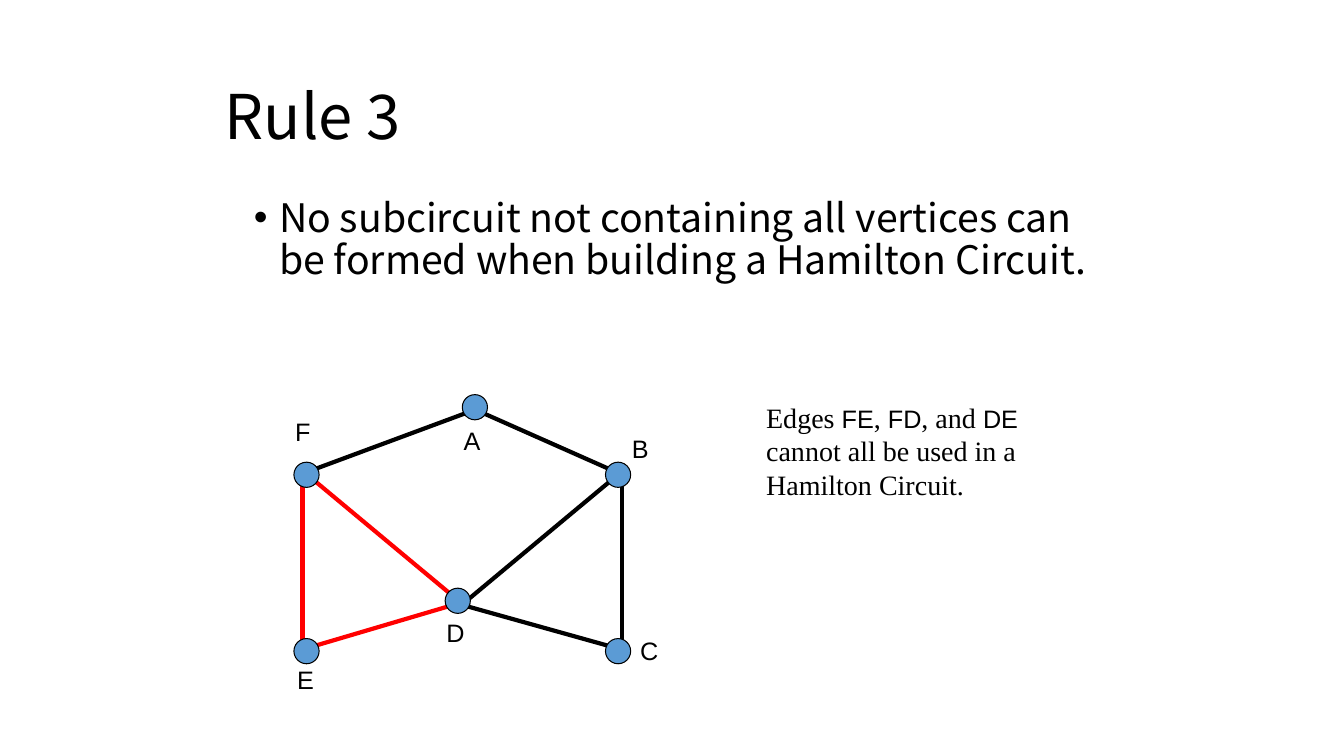
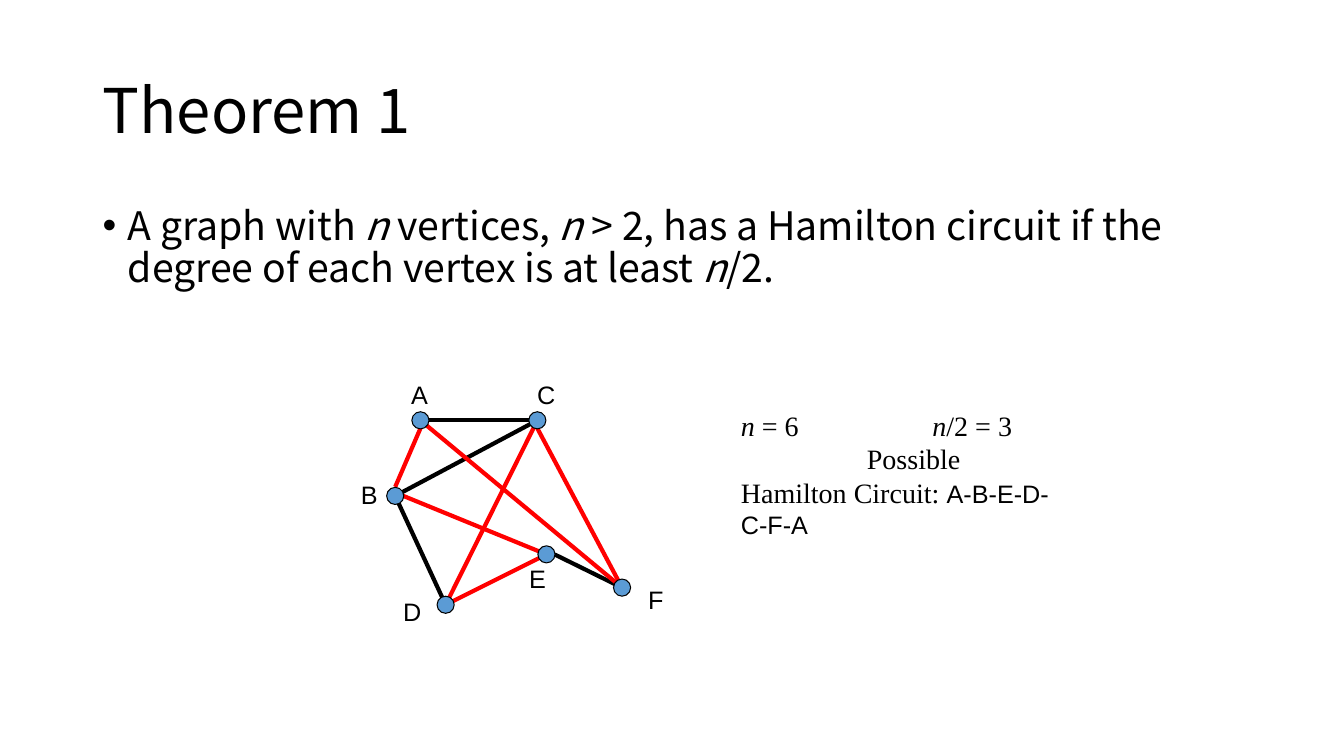
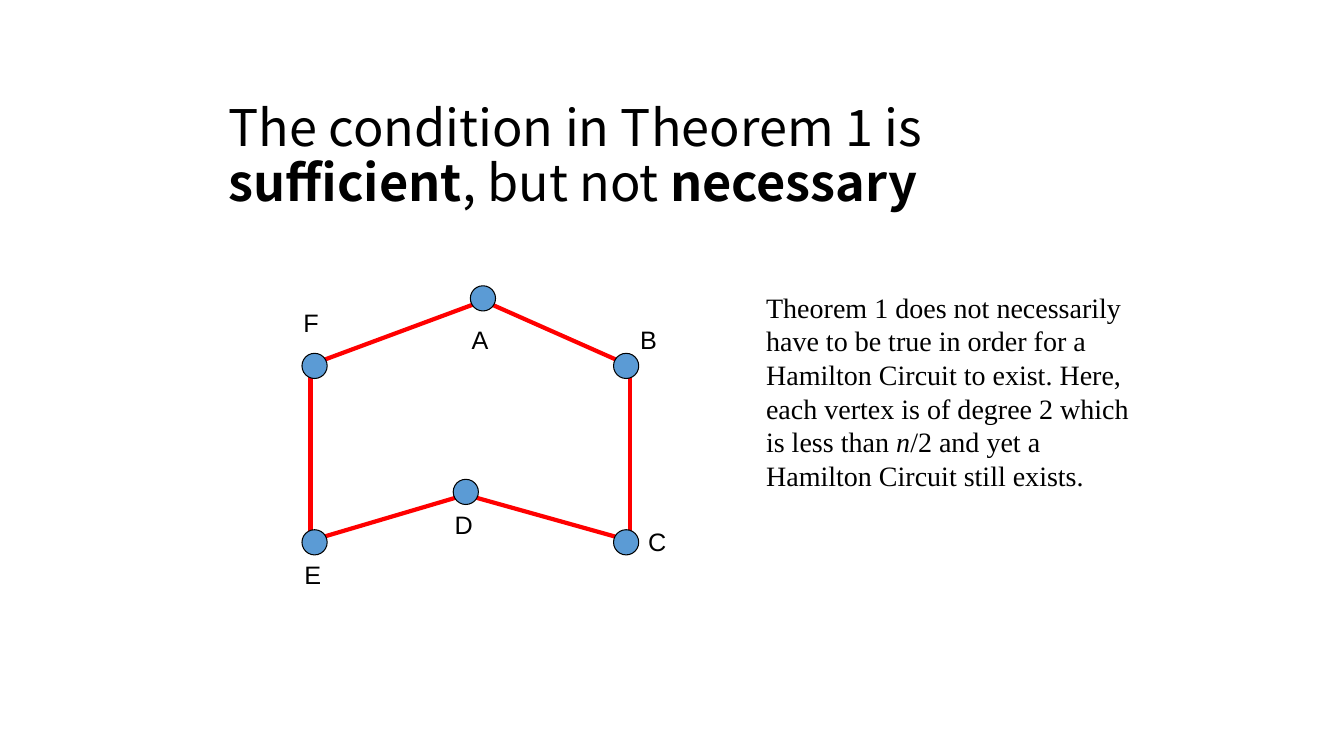
from pptx import Presentation
from pptx.dml.color import RGBColor
from pptx.enum.shapes import MSO_CONNECTOR as CONNECTOR, MSO_SHAPE as SHAPE
from pptx.enum.text import MSO_ANCHOR as ANCHOR, MSO_AUTO_SIZE as AUTO_SIZE
from pptx.oxml.ns import qn
from pptx.util import Inches, Pt
from lxml.etree import SubElement

BLACK, RED, BLUE = "000000", "FF0000", "5B9BD5"
HEADING, SERIF, SANS = "Noto Sans CJK SC", "Times New Roman", "Arial"

# The six-vertex graph of the first and last slides: centres, edge ends, labels
HOUSE_VERTICES = {"A": (4.71, 4.04), "B": (6.13, 4.71), "C": (6.13, 6.46),
                  "D": (4.54, 5.96), "E": (3.04, 6.46), "F": (3.04, 4.71)}
HOUSE_EDGES = {"AB": (4.75, 4.08, 6.08, 4.67), "BC": (6.17, 4.75, 6.17, 6.42),
               "CD": (4.58, 6, 6.08, 6.42), "DE": (3.08, 6.42, 4.5, 6),
               "EF": (3, 4.75, 3, 6.42), "FA": (3.08, 4.67, 4.67, 4.08),
               "FD": (3, 4.67, 4.5, 5.92), "BD": (4.58, 6, 6.08, 4.75)}
HOUSE_LABELS = {"A": (4.5, 4.17), "B": (6.17, 4.25), "C": (6.25, 6.25),
                "D": (4.33, 6.08), "E": (2.85, 6.54), "F": (2.83, 4.08)}

# The graph of Theorem 1
DIRAC_VERTICES = {"A": (4.17, 4.17), "B": (3.92, 4.92), "C": (5.33, 4.17),
                  "D": (4.42, 6), "E": (5.42, 5.5), "F": (6.17, 5.83)}
DIRAC_EDGES = {"CB": (5.33, 4.17, 3.92, 4.92), "BD": (3.92, 4.92, 4.42, 6),
               "EF": (5.5, 5.5, 6.17, 5.83), "AC": (4.25, 4.17, 5.25, 4.17),
               "AF": (4.17, 4.17, 6.17, 5.83), "DC": (4.42, 6, 5.33, 4.17),
               "DE": (4.42, 6, 5.42, 5.5), "BE": (5.42, 5.5, 4, 4.92),
               "AB": (3.92, 4.83, 4.17, 4.25), "CF": (6.17, 5.83, 5.33, 4.25)}
DIRAC_LABELS = {"A": (3.98, 3.71), "B": (3.48, 4.71), "C": (5.23, 3.71),
                "D": (3.9, 5.87), "E": (5.15, 5.54), "F": (6.33, 5.75)}


def rgb(value):
    return RGBColor.from_string(value)


def shifted(places, dx, dy):
    """Move every x, y pair in a dict of places."""
    return {name: tuple(value + (dy if i % 2 else dx) for i, value in enumerate(place))
            for name, place in places.items()}


class Deck:
    def __init__(self):
        self.prs = Presentation()
        self.prs.slide_width, self.prs.slide_height = Inches(13.33), Inches(7.5)
        self.slide = None

    def new_slide(self):
        self.slide = self.prs.slides.add_slide(self.prs.slide_layouts[6])

    def box(self, left, top, width, height, wrap=True):
        area = self.slide.shapes.add_textbox(*map(Inches, (left, top, width, height)))
        area.text_frame.word_wrap = wrap
        return area.text_frame

    def add_parts(self, paragraph, parts, size, face):
        """Parts are plain strings or (text, mark); marks: i, b or sans."""
        for part in parts:
            text, mark = (part, "") if isinstance(part, str) else part
            run = paragraph.add_run()
            run.text = text
            font = run.font
            font.name, font.size = (SANS, Pt(18)) if mark == "sans" else (face, Pt(size))
            font.color.rgb = rgb(BLACK)
            font.italic, font.bold = mark == "i", mark == "b"

    def title(self, parts, left, top, width, height, size=44):
        frame = self.box(left, top, width, height)
        frame.vertical_anchor = ANCHOR.MIDDLE
        frame.paragraphs[0].line_spacing = 0.9
        self.add_parts(frame.paragraphs[0], parts, size, HEADING)

    def bullet(self, parts, left, top, width, height):
        paragraph = self.box(left, top, width, height).paragraphs[0]
        paragraph.line_spacing = 0.9
        properties = paragraph._p.get_or_add_pPr()
        properties.set("marL", str(Inches(0.25)))
        properties.set("indent", str(-Inches(0.25)))
        SubElement(properties, qn("a:buFont"), typeface=SANS)
        SubElement(properties, qn("a:buChar"), char="•")
        self.add_parts(paragraph, parts, 28, HEADING)

    def note(self, lines, left, top, width, height):
        """Lines are (parts, indent, tab stop)."""
        frame = self.box(left, top, width, height)
        for i, (parts, indent, tab) in enumerate(lines):
            paragraph = frame.add_paragraph() if i else frame.paragraphs[0]
            properties = paragraph._p.get_or_add_pPr()
            if indent:
                properties.set("marL", str(Inches(indent)))
            if tab:
                tabs = SubElement(properties, qn("a:tabLst"))
                SubElement(tabs, qn("a:tab"), pos=str(Inches(tab)), algn="l")
            self.add_parts(paragraph, parts, 20, SERIF)

    def edge(self, ends, color):
        line = self.slide.shapes.add_connector(CONNECTOR.STRAIGHT, *map(Inches, ends))
        line.line.color.rgb = rgb(color)
        line.line.width = Pt(3)
        SubElement(line._element.spPr, qn("a:effectLst"))

    def vertex(self, x, y, size):
        dot = self.slide.shapes.add_shape(
            SHAPE.OVAL, *map(Inches, (x - size / 2, y - size / 2, size, size)))
        dot.shadow.inherit = False
        dot.fill.solid()
        dot.fill.fore_color.rgb = rgb(BLUE)
        dot.line.color.rgb = rgb(BLACK)
        dot.line.width = Pt(0.75)

    def label(self, name, left, top):
        frame = self.box(left, top, 0.37, 0.4, wrap=False)
        frame.auto_size = AUTO_SIZE.SHAPE_TO_FIT_TEXT
        self.add_parts(frame.paragraphs[0], [name], 18, SANS)

    def graph(self, vertices, edges, labels, red, size=0.25):
        for name, ends in edges.items():
            self.edge(ends, RED if name in red else BLACK)
        for x, y in vertices.values():
            self.vertex(x, y, size)
        for name, place in labels.items():
            self.label(name, *place)


def main():
    deck = Deck()

    # Rule 3
    deck.new_slide()
    deck.title(["Rule 3"], 2.13, 0.56, 9, 1.25)
    deck.bullet(["No subcircuit not containing all vertices can be formed when "
                 "building a Hamilton Circuit."], 2.42, 1.92, 8.5, 1.59)
    deck.graph(HOUSE_VERTICES, HOUSE_EDGES, HOUSE_LABELS, red=("DE", "EF", "FD"))
    deck.note([(["Edges ", ("FE", "sans"), ", ", ("FD", "sans"), ", and ", ("DE", "sans"),
                 " cannot all be used in a Hamilton Circuit."], 0, 0)],
              7.5, 3.92, 3.42, 1.1)

    # Theorem 1
    deck.new_slide()
    deck.title(["Theorem 1"], 0.92, 0.4, 11.5, 1.45)
    deck.bullet(["A graph with ", ("n", "i"), " vertices, ", ("n", "i"),
                 " > 2, has a Hamilton circuit if the degree of each vertex is at least ",
                 ("n", "i"), "/2."], 0.92, 2, 11.5, 4.76)
    deck.graph(DIRAC_VERTICES, DIRAC_EDGES, DIRAC_LABELS,
               red=("AB", "BE", "DE", "DC", "CF", "AF"), size=0.17)
    deck.note([([("n", "i"), " = 6\t", ("n", "i"), "/2 = 3"], 0, 1.9),
               (["Possible"], 1.25, 0),
               (["Hamilton Circuit: ", ("A-B-E-D-C-F-A", "sans")], 0, 0)],
              7.25, 4, 3.33, 1.4)

    # Sufficient, but not necessary
    deck.new_slide()
    deck.title(["The condition in Theorem 1 is ", ("sufficient", "b"), ", but not ",
                ("necessary", "b")], 2.17, 0.94, 9, 1.25, size=36)
    shift = (0.08, -1.08)
    outline = {name: ends for name, ends in HOUSE_EDGES.items() if name not in ("FD", "BD")}
    labels = {**shifted(HOUSE_LABELS, *shift), "A": (4.58, 3.17), "E": (2.92, 5.5)}
    deck.graph(shifted(HOUSE_VERTICES, *shift), shifted(outline, *shift), labels, red=outline)
    deck.note([(["Theorem 1 does not necessarily have to be true in order for a Hamilton "
                 "Circuit to exist. Here, each vertex is of degree 2 which is less than ",
                 ("n", "i"), "/2 and yet a Hamilton Circuit still exists."], 0, 0)],
              7.5, 2.83, 3.83, 2.1)

    deck.prs.save("out.pptx")


if __name__ == "__main__":
    main()
